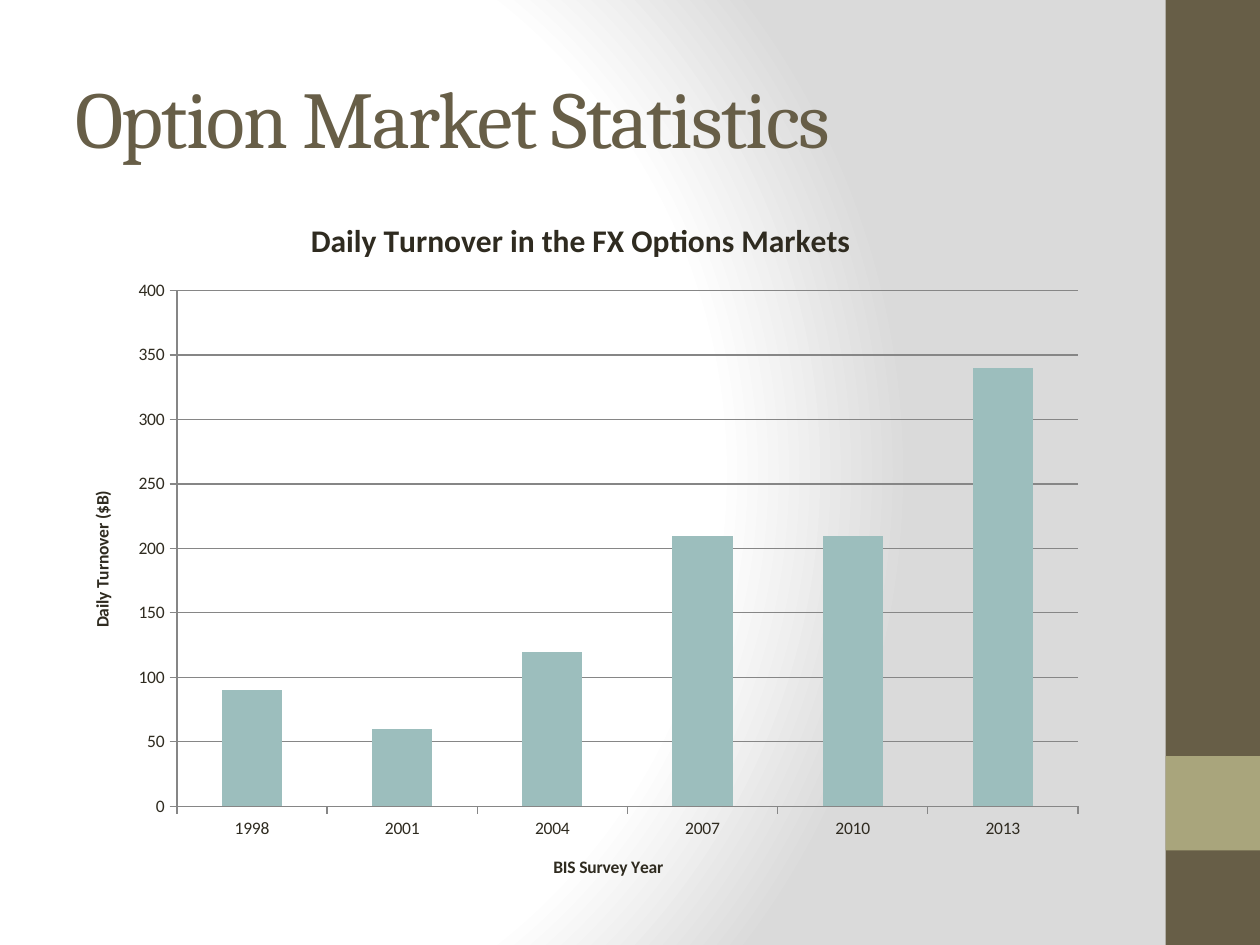
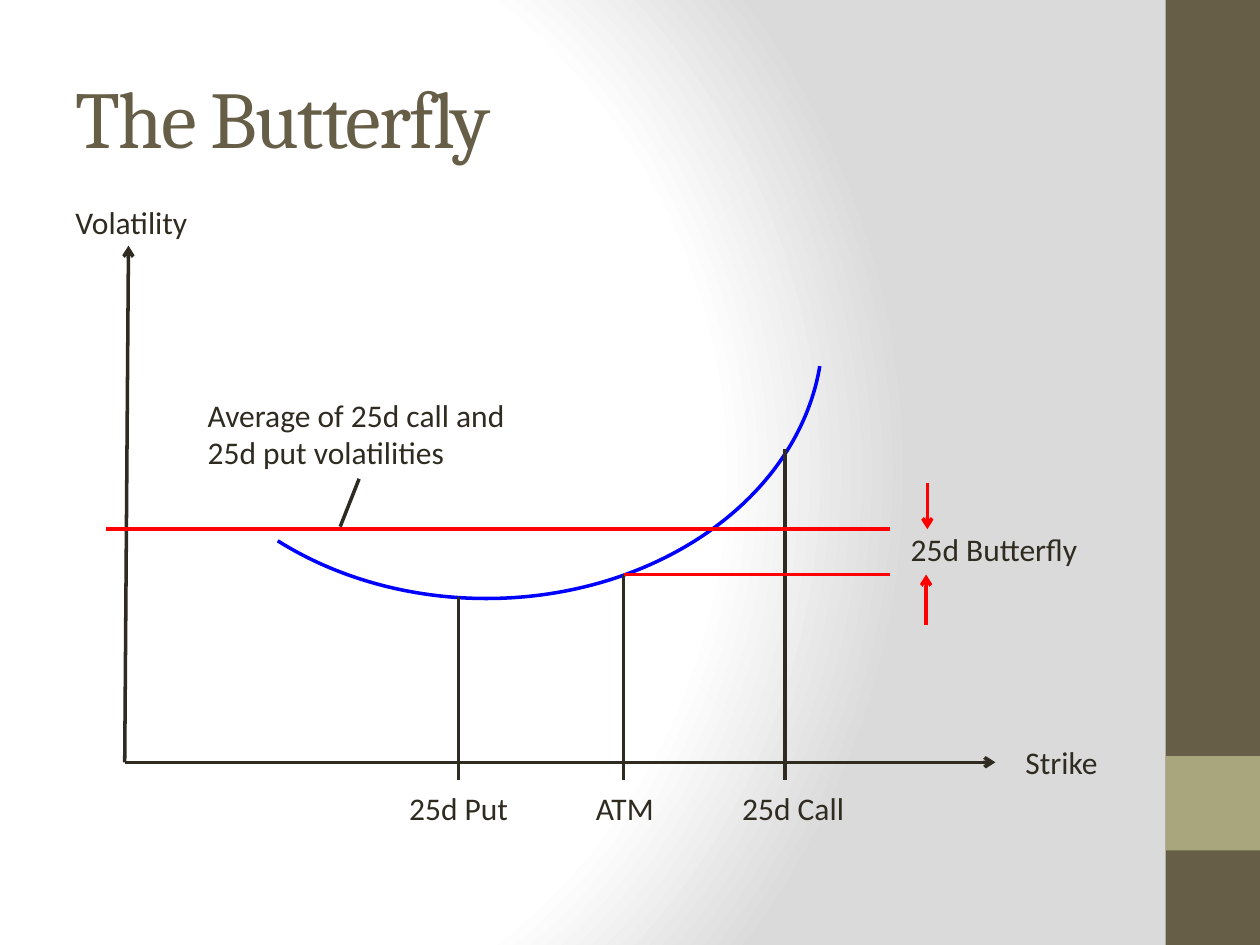
from lxml import etree
from pptx import Presentation
from pptx.chart.data import CategoryChartData
from pptx.dml.color import RGBColor
from pptx.enum.chart import XL_CHART_TYPE, XL_TICK_MARK
from pptx.enum.shapes import MSO_CONNECTOR, MSO_SHAPE
from pptx.enum.text import MSO_ANCHOR, MSO_AUTO_SIZE, PP_ALIGN
from pptx.oxml import parse_xml
from pptx.oxml.ns import nsdecls, qn
from pptx.util import Inches, Pt

COLUMN_STACKED = XL_CHART_TYPE.COLUMN_STACKED
TICK_OUT, TICK_NONE = XL_TICK_MARK.OUTSIDE, XL_TICK_MARK.NONE
STRAIGHT = MSO_CONNECTOR.STRAIGHT
RECTANGLE, ARC = MSO_SHAPE.RECTANGLE, MSO_SHAPE.ARC
MIDDLE = MSO_ANCHOR.MIDDLE
FIT_SHAPE = MSO_AUTO_SIZE.SHAPE_TO_FIT_TEXT
LEFT, CENTER = PP_ALIGN.LEFT, PP_ALIGN.CENTER

COLORS = {
    "text": "2F2B20", "title": "675E47", "accent": "A9A57C",
    "column": "9CBEBD", "grid": "868686", "curve": "0000FF",
    "level": "FF0000", "light": "FFFFFF", "shade": "DADADA",
}
TITLE_FONT, BODY_FONT = "Cambria", "Calibri"


def rgb(name):
    return RGBColor.from_string(COLORS[name])


def inches(*lengths):
    return [Inches(length) for length in lengths]


class SlideBuilder:
    """Holds the deck's style and draws on the current slide."""

    def __init__(self):
        self.deck = Presentation()
        self.deck.slide_width, self.deck.slide_height = inches(10, 7.5)
        self.page = None

    def start_page(self, title):
        self.page = self.deck.slides.add_slide(self.deck.slide_layouts[6])
        self.add_background()
        self.add_band(0, 7.5, "title")
        self.add_band(6, 0.75, "accent")
        self.add_title(title)

    def add_background(self):
        fill = self.page.background.fill
        fill.solid()
        solid = next(self.page.element.iter(qn("a:solidFill")))
        stops = "".join(
            f'<a:gs pos="{place * 1000}"><a:srgbClr val="{COLORS[name]}"/></a:gs>'
            for place, name in ((0, "light"), (75, "light"), (100, "shade")))
        gradient = parse_xml(
            f'<a:gradFill {nsdecls("a")} rotWithShape="1"><a:gsLst>{stops}</a:gsLst>'
            '<a:path path="circle"><a:fillToRect l="20000" t="50000" r="100000" b="50000"/>'
            '</a:path></a:gradFill>')
        solid.getparent().replace(solid, gradient)

    def add_band(self, top, height, color):
        band = self.page.shapes.add_shape(RECTANGLE, *inches(9.25, top, 0.75, height))
        band.shadow.inherit = False
        band.fill.solid()
        band.fill.fore_color.rgb = rgb(color)
        band.line.fill.background()

    def style_font(self, font, size, color="text", name=BODY_FONT, bold=False):
        font.name, font.size, font.bold = name, Pt(size), bold
        font.color.rgb = rgb(color)

    def add_title(self, text):
        box = self.page.shapes.add_textbox(*inches(0.5, 0.3, 8.33, 1.25))
        frame = box.text_frame
        frame.word_wrap = True
        frame.vertical_anchor = MIDDLE
        frame.text = text
        span = frame.paragraphs[0].runs[0]
        self.style_font(span.font, 46, "title", TITLE_FONT)
        span.font._element.set("spc", "-100")

    def add_label(self, text, left, top, width, height=0.4, align=LEFT, wrap=False):
        box = self.page.shapes.add_textbox(*inches(left, top, width, height))
        frame = box.text_frame
        frame.word_wrap = wrap
        frame.auto_size = FIT_SHAPE
        frame.text = text
        for para in frame.paragraphs:
            para.alignment = align
            self.style_font(para.runs[0].font, 18)

    def add_line(self, start, end, color="text", arrow=False):
        line = self.page.shapes.add_connector(STRAIGHT, *inches(*start, *end))
        line.line.color.rgb = rgb(color)
        line.line.width = Pt(2)
        properties = line.element.find(qn("p:spPr"))
        if arrow:
            etree.SubElement(properties.find(qn("a:ln")), qn("a:tailEnd"), type="arrow")
        etree.SubElement(properties, qn("a:effectLst"))

    def add_arc(self, left, top, width, height, start, end):
        """Draw an open arc between two angles, in degrees clockwise."""
        arc = self.page.shapes.add_shape(ARC, *inches(left, top, width, height))
        arc.shadow.inherit = False
        arc.fill.background()
        arc.line.color.rgb = rgb("curve")
        arc.line.width = Pt(2)
        for index, angle in enumerate((start, end)):
            arc.adjustments[index] = angle * 0.6

    def style_heading(self, owner, text, size):
        """Give a chart or an axis a bold title."""
        owner.has_title = True
        frame = (owner.chart_title if hasattr(owner, "chart_title")
                 else owner.axis_title).text_frame
        frame.text = text
        self.style_font(frame.paragraphs[0].runs[0].font, size, bold=True)

    def add_column_chart(self, title, axis_titles, categories, values):
        data = CategoryChartData()
        data.categories = categories
        data.add_series("Series 1", values)
        chart = self.page.shapes.add_chart(
            COLUMN_STACKED, *inches(0.5, 1.52, 8.22, 5.61), data).chart
        self.style_font(chart.font, 10)
        chart.has_legend = False
        self.style_heading(chart, title, 18)
        for axis, text in zip((chart.category_axis, chart.value_axis), axis_titles):
            self.style_heading(axis, text, 10)
            axis.major_tick_mark, axis.minor_tick_mark = TICK_OUT, TICK_NONE
            axis.format.line.color.rgb = rgb("grid")
        chart.value_axis.minimum_scale = 0
        chart.value_axis.maximum_scale = 400
        chart.value_axis.major_unit = 50
        chart.value_axis.has_major_gridlines = True
        chart.value_axis.major_gridlines.format.line.color.rgb = rgb("grid")
        plot = chart.plots[0]
        plot.gap_width, plot.overlap = 150, 100
        plot.vary_by_categories = False
        fill = plot.series[0].format.fill
        fill.solid()
        fill.fore_color.rgb = rgb("column")
        self.place_plot(chart, x=0.11, y=0.14, w=0.87, h=0.73)

    def place_plot(self, chart, **fractions):
        """Fix the inner plot area as fractions of the chart."""
        area = next(chart.element.iter(qn("c:plotArea")))
        for layout in area.findall(qn("c:layout")):
            area.remove(layout)
        layout = etree.Element(qn("c:layout"))
        manual = etree.SubElement(layout, qn("c:manualLayout"))
        settings = {"layoutTarget": "inner", "xMode": "edge", "yMode": "edge", **fractions}
        for tag, value in settings.items():
            etree.SubElement(manual, qn(f"c:{tag}"), val=str(value))
        area.insert(0, layout)


def build_statistics(builder):
    builder.start_page("Option Market Statistics")
    builder.add_column_chart(
        "Daily Turnover in the FX Options Markets",
        ("BIS Survey Year", "Daily Turnover ($B)"),
        [str(year) for year in range(1998, 2014, 3)],
        (90, 60, 120, 210, 210, 340))


def build_butterfly(builder):
    builder.start_page("The Butterfly")
    origin = (0.99, 6.05)
    average, atm_level = 4.2, 4.56
    put, atm, call = 3.64, 4.95, 6.23
    level_end = 7.06

    builder.add_line(origin, (1.02, 1.95), arrow=True)
    builder.add_line(origin, (7.9, 6.05), arrow=True)
    builder.add_arc(1.19, 0.5, 5.34, 4.25, 6.05, 134.8)
    for strike, top in ((atm, atm_level), (call, 3.56), (put, 4.74)):
        builder.add_line((strike, top), (strike, 6.19))

    builder.add_label("ATM", 4.63, 6.21, 0.72, wrap=True)
    builder.add_label("25d Put", 3.13, 6.21, 1.02, align=CENTER, wrap=True)
    builder.add_label("25d Call", 5.63, 6.21, 1.33, align=CENTER, wrap=True)
    builder.add_label("Volatility", 0.5, 1.56, 1.11)
    builder.add_label("Strike", 8.04, 5.85, 0.79)

    builder.add_line((level_end, average), (0.84, average), "level")
    builder.add_line((atm, atm_level), (level_end, atm_level), "level")
    builder.add_label("25d Butterfly", 7.13, 4.16, 1.54)
    builder.add_line((7.36, 3.83), (7.36, average), "level", arrow=True)
    builder.add_line((7.35, 4.96), (7.35, atm_level), "level", arrow=True)

    builder.add_label("Average of 25d call and\n25d put volatilities", 1.55, 3.09, 2.6, 0.71)
    builder.add_line((2.85, 3.8), (2.7, 4.18))


def main():
    builder = SlideBuilder()
    build_statistics(builder)
    build_butterfly(builder)
    builder.deck.save("out.pptx")


if __name__ == "__main__":
    main()
